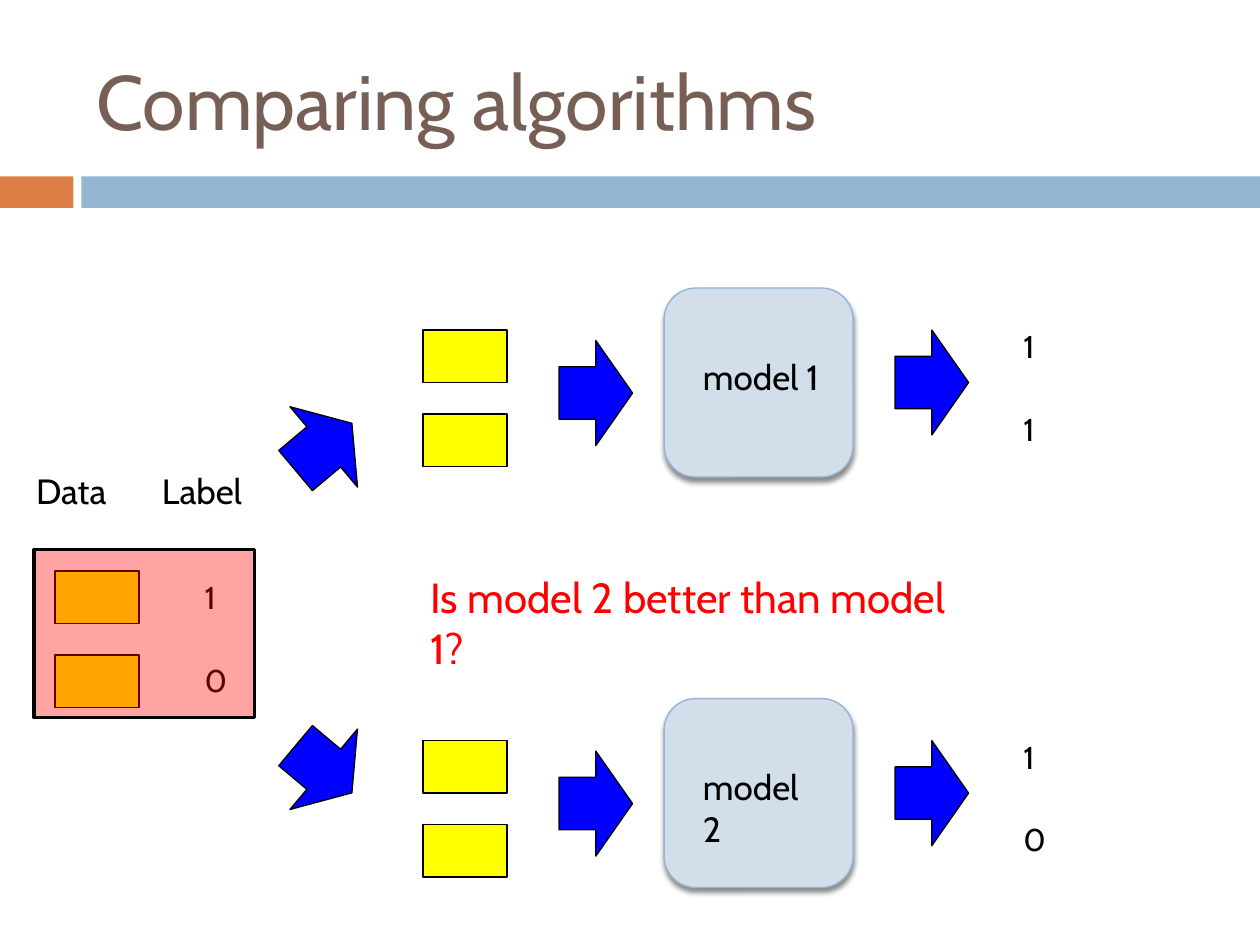
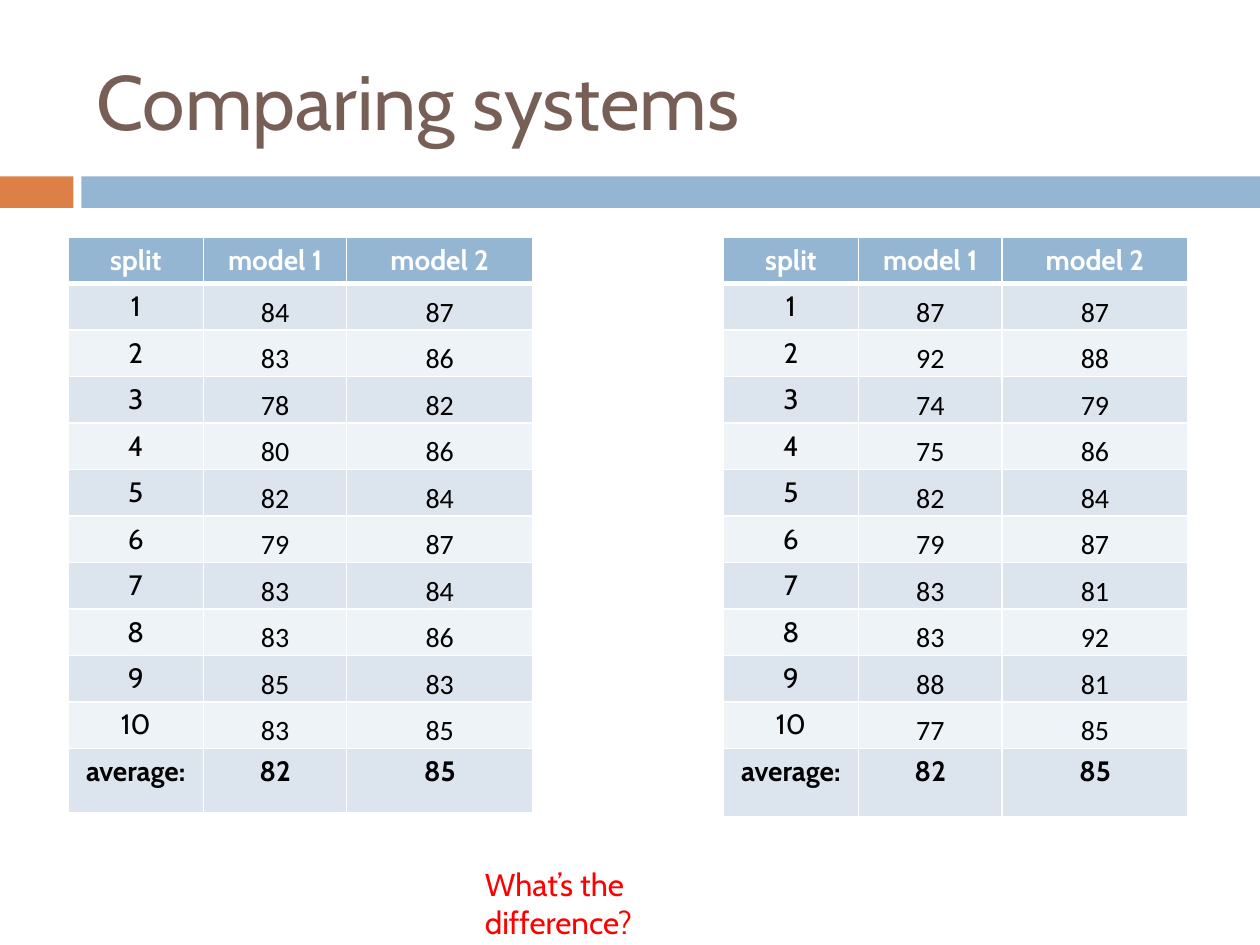
from pptx import Presentation
from pptx import util as u
from pptx.dml.color import RGBColor
from pptx.enum import shapes, text
from pptx.oxml import parse_xml
from pptx.oxml.ns import nsdecls

Pt = u.Pt
rgb = RGBColor.from_string
MSO = shapes.MSO_SHAPE
FONT = "Cabin"
BLUE, ORANGE, BROWN = "94B6D2", "DD8047", "775F55"
BLACK, WHITE, RED = "000000", "FFFFFF", "FF0000"
YELLOW, ARROW_BLUE, MODEL_BLUE = "FFFF00", "0000FF", "D2DEEA"
BANDS = ["EEF3F7", "DCE5EE"]


def add_box(parent, kind, x, y, w, h, fill, line=BLACK, width=0.75):
    sp = parent.add_shape(kind, Pt(x), Pt(y), Pt(w), Pt(h))
    sp.shadow.inherit = False
    sp.fill.solid()
    sp.fill.fore_color.rgb = rgb(fill)
    if line:
        sp.line.color.rgb = rgb(line)
        sp.line.width = Pt(width)
    else:
        sp.line.fill.background()
    return sp


def add_label(parent, x, y, w, words, size, color=BLACK):
    sp = parent.add_textbox(Pt(x), Pt(y), Pt(w), Pt(size * 1.2 + 7.2))
    tf = sp.text_frame
    tf.word_wrap = True
    tf.text = words
    f = tf.paragraphs[0].runs[0].font
    f.name, f.size, f.color.rgb = FONT, Pt(size), rgb(color)


prs = Presentation()
prs.slide_width, prs.slide_height = Pt(720), Pt(540)
layout = prs.slide_layouts[5]
title = layout.placeholders[0]
title.left, title.top, title.width, title.height = Pt(48), Pt(18), Pt(642), Pt(78)

slides = []
for words in ["Comparing algorithms", "Comparing systems"]:
    s = prs.slides.add_slide(layout)
    tf = s.shapes.title.text_frame
    tf.text = words
    tf.auto_size = text.MSO_AUTO_SIZE.NONE
    tf.vertical_anchor = text.MSO_ANCHOR.MIDDLE
    p = tf.paragraphs[0]
    p.alignment = text.PP_ALIGN.LEFT
    f = p.runs[0].font
    f.name, f.size, f.color.rgb = FONT, Pt(44), rgb(BROWN)
    slides.append(s)

for i, (x, w, color) in enumerate([(0, 42, ORANGE), (46.5, 673.5, BLUE)]):
    sp = add_box(slides[0].shapes, MSO.RECTANGLE, x, 100.8, w, 18, color, None)
    sp.element.nvSpPr.cNvPr.set("id", str(20 + i))
    layout.shapes.element.append(sp.element)

s = slides[0]
add_label(s.shapes, 13.5, 265, 57, "Data", 20)
add_label(s.shapes, 85.5, 265, 64, "Label", 20)
for i, label in enumerate("10"):
    add_box(s.shapes, MSO.RECTANGLE, 31.5, 326.3 + 48 * i, 48, 30, YELLOW)
    add_label(s.shapes, 109.8, 327 + 47 * i, 24.5, label, 18)
sp = add_box(s.shapes, MSO.RECTANGLE, 19.5, 314, 126, 96, RED, BLACK, 2)
sp.fill._xPr.solidFill[0].append(parse_xml(f'<a:alpha {nsdecls("a")} val="36000"/>'))

for y, turn, name, guesses in [(188.6, 320, "model 1", "11"), (423.2, 40, "model 2", "10")]:
    split_y = 225.4 if turn == 320 else 409.6
    sp = add_box(s.shapes, MSO.RIGHT_ARROW, 164, split_y, 42, 60, ARROW_BLUE)
    sp.rotation = turn
    group = s.shapes.add_group_shape()
    sp = add_box(group.shapes, MSO.ROUNDED_RECTANGLE, 379.5, y - 24, 108, 108, MODEL_BLUE, BLUE, 0.79)
    effects = sp.element.spPr.find("{*}effectLst")
    effects.append(parse_xml(
        f'<a:outerShdw {nsdecls("a")} blurRad="{Pt(3)}" dist="{Pt(2.4)}" dir="5400000" rotWithShape="0">'
        f'<a:srgbClr val="{BLACK}"><a:alpha val="45000"/></a:srgbClr></a:outerShdw>'))
    add_label(group.shapes, 394.5, y + 10.8, 80.64, name, 20)
    add_box(s.shapes, MSO.RIGHT_ARROW, 319.5, y + 6, 42, 60, ARROW_BLUE)
    add_box(s.shapes, MSO.RIGHT_ARROW, 511.5, y, 42, 60, ARROW_BLUE)
    for i, guess in enumerate(guesses):
        add_box(s.shapes, MSO.RECTANGLE, 241.7, y + 48 * i, 48, 30, YELLOW)
        add_label(s.shapes, 577.8, y - 5 + 47 * i, 24.5, guess, 18)
add_label(s.shapes, 239, 323.3, 322.5, "Is model 2 better than model 1?", 24, RED)

s = slides[1]
results = [
    (38.8, 24.3, 36.6,
     [84, 83, 78, 80, 82, 79, 83, 83, 85, 83],
     [87, 86, 82, 86, 84, 87, 84, 86, 83, 85]),
    (413.2, 24, 39,
     [87, 92, 74, 75, 82, 79, 83, 83, 88, 77],
     [87, 88, 79, 86, 84, 87, 81, 92, 81, 85]),
]
for x, row_h, last_h, model1, model2 in results:
    rows = [("split", "model 1", "model 2"), *zip(range(1, 11), model1, model2), ("average:", 82, 85)]
    last = len(rows) - 1
    table = s.shapes.add_table(len(rows), 3, Pt(x), Pt(135.4), Pt(265.7), Pt(row_h * last + last_h)).table
    for col, w in zip(table.columns, [77.5, 81.8, 106.4]):
        col.width = Pt(w)
    for i, row in enumerate(rows):
        table.rows[i].height = Pt(last_h if i == last else row_h)
        for j, value in enumerate(row):
            cell = table.cell(i, j)
            score = 0 < i < last and j > 0
            tc_pr = cell._tc.get_or_add_tcPr()
            for side in "LRTB":
                width = 3 if (i, side) in [(0, "B"), (1, "T")] else 1
                tc_pr.append(parse_xml(
                    f'<a:ln{side} {nsdecls("a")} w="{Pt(width)}"><a:solidFill>'
                    f'<a:srgbClr val="{WHITE}"/></a:solidFill></a:ln{side}>'))
            cell.fill.solid()
            cell.fill.fore_color.rgb = rgb(BANDS[i % 2] if i else BLUE)
            if score:
                cell.vertical_anchor = text.MSO_ANCHOR.BOTTOM
                cell.margin_left = cell.margin_right = cell.margin_top = Pt(0.72)
                cell.margin_bottom = Pt(0)
            p = cell.text_frame.paragraphs[0]
            p.text = str(value)
            p.alignment = text.PP_ALIGN.CENTER
            f = p.runs[0].font
            f.name, f.size = "Calibri" if score else FONT, Pt(16)
            f.bold = i in (0, last)
            f.color.rgb = rgb(BLACK if i else WHITE)
add_label(s.shapes, 270, 491, 180, "What’s the difference?", 18, RED)

prs.save("out.pptx")
